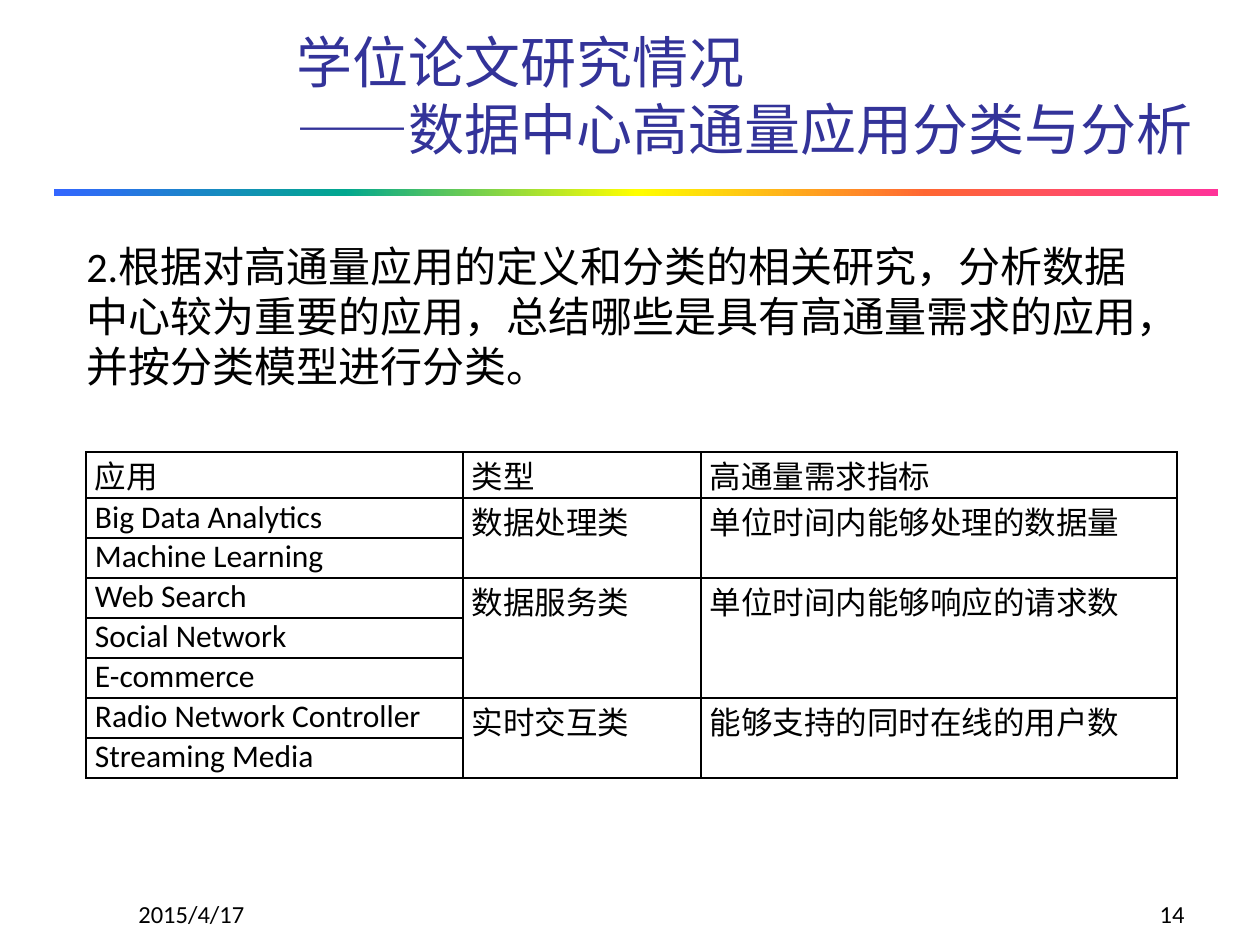
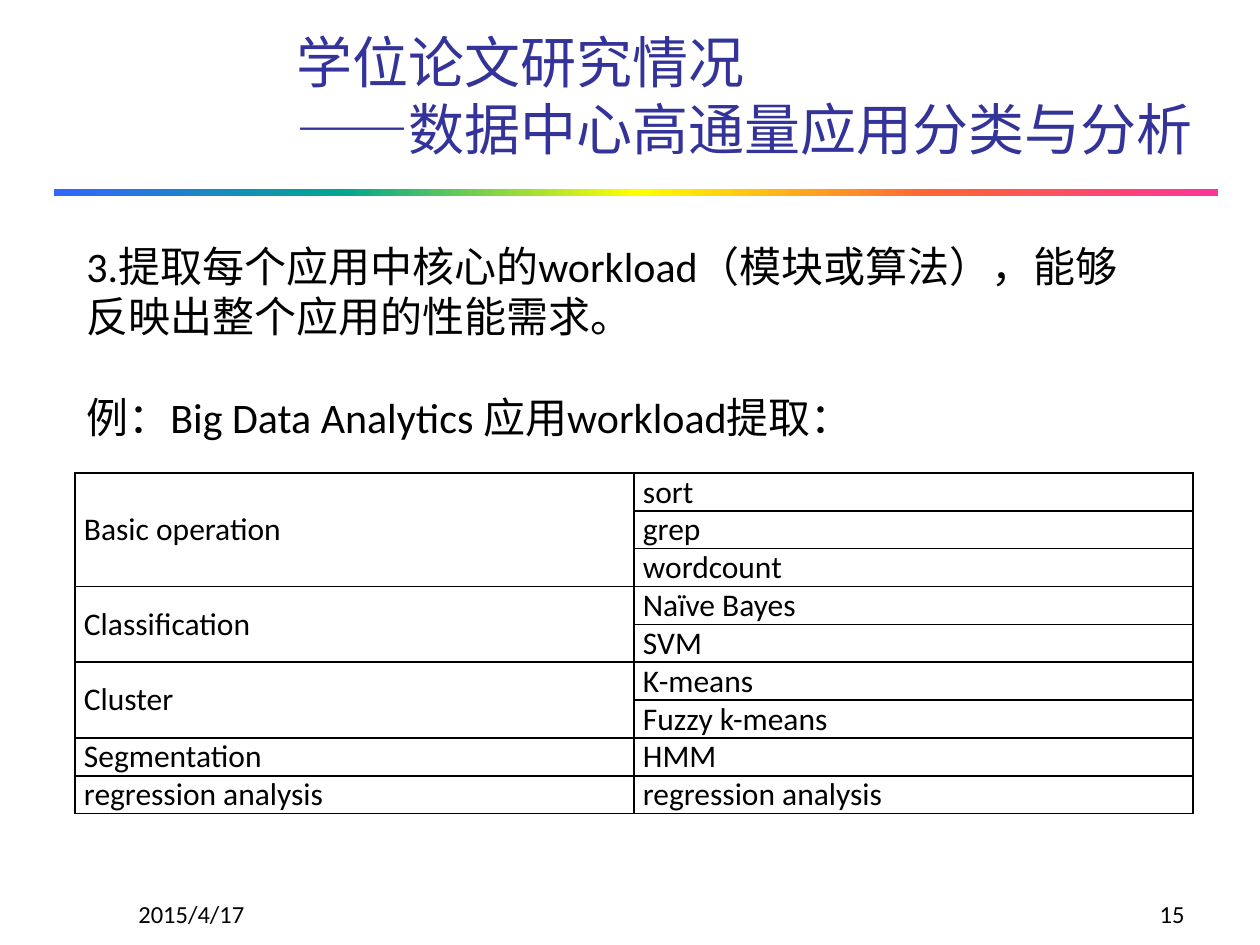
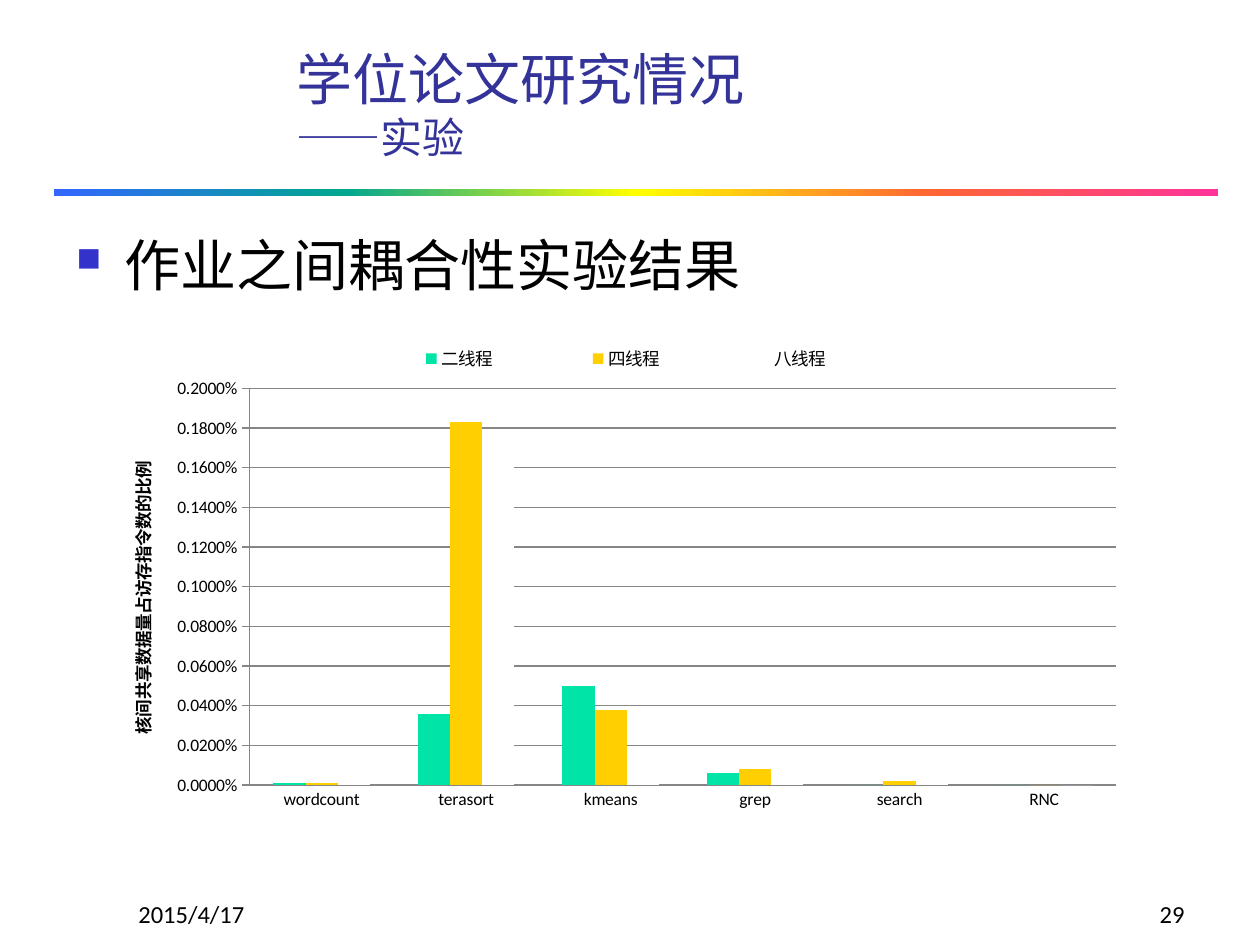
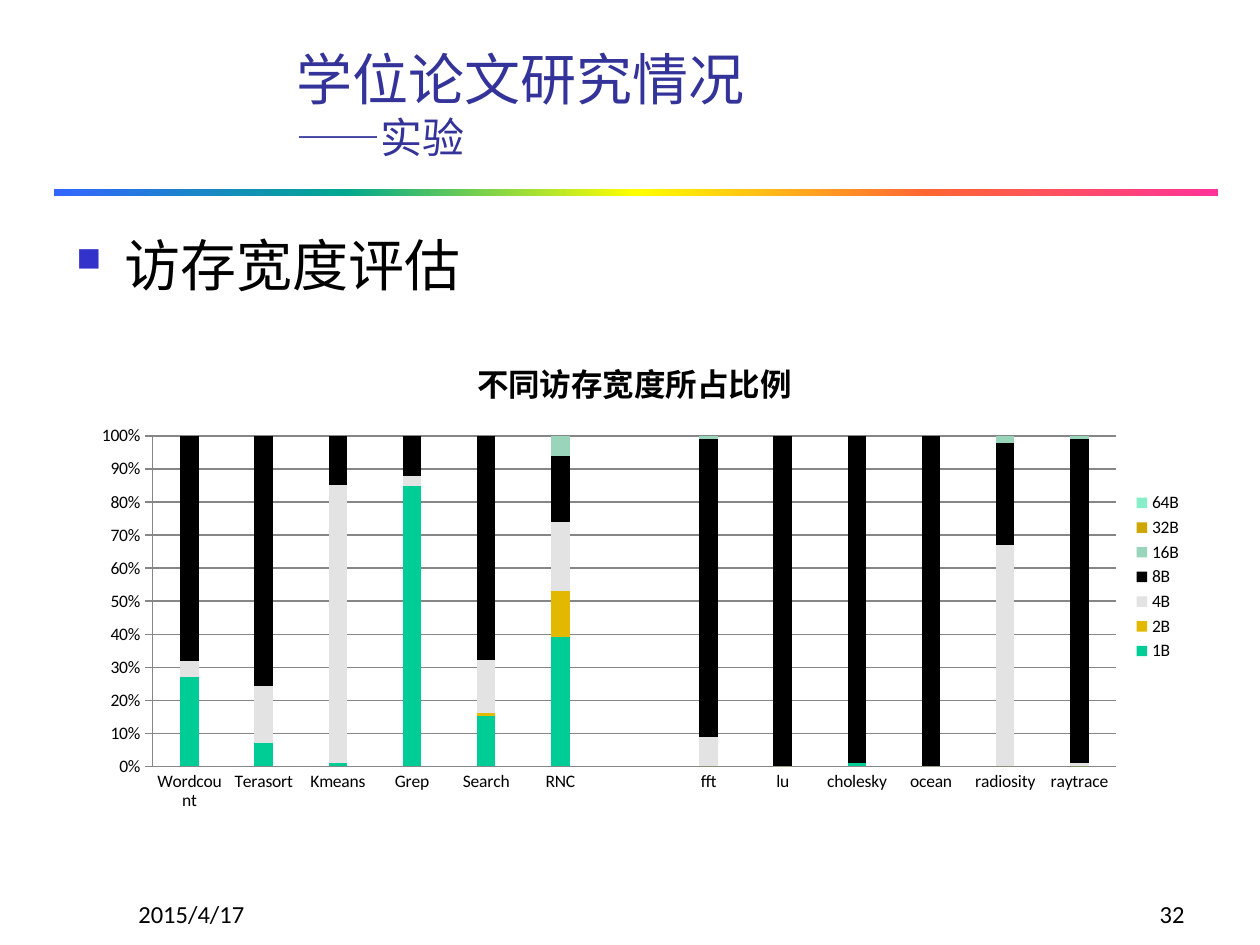
from lxml.etree import SubElement
from pptx import Presentation
from pptx.chart.data import CategoryChartData
from pptx.dml.color import RGBColor
from pptx.enum.chart import XL_CHART_TYPE as CHART, XL_LEGEND_POSITION as LEGEND, XL_TICK_MARK as TICK
from pptx.enum.shapes import MSO_SHAPE as SHAPE
from pptx.enum.text import MSO_ANCHOR as ANCHOR, MSO_AUTO_SIZE as AUTO, PP_ALIGN as ALIGN
from pptx.oxml.ns import qn
from pptx.util import Pt

FONT, BLACK, WHITE, GRID = "Calibri", "000000", "FFFFFF", "868686"
TITLE_COLOR, BULLET_COLOR = "333399", "3333CC"
RAINBOW = ["3366FF", "01A78F", "FFFF00", "FF6633", "FF3399"]

TOPIC = "学位论文研究情况"
DATE = "2015/4/17"
CLASSES_TITLE = ("——数据中心高通量应用分类与分析", 32)
TESTS_TITLE = ("——实验", 24)

SLIDES = [
    {
        "number": 14, "subtitle": CLASSES_TITLE,
        "text": ["2.根据对高通量应用的定义和分类的相关研究，分析数据中心较为重要的应用，"
                 "总结哪些是具有高通量需求的应用，并按分类模型进行分类。"],
        "text_box": (74, 234, 1101, 165),
        "table": {
            "box": (86, 452, 1091, 320), "columns": [377, 238, 476], "anchor": ANCHOR.TOP,
            "header_height": 46,
            "rows": [
                ("应用", "类型", "高通量需求指标"),
                ("Big Data Analytics", "数据处理类", "单位时间内能够处理的数据量"),
                ("Machine Learning", None, None),
                ("Web Search", "数据服务类", "单位时间内能够响应的请求数"),
                ("Social Network", None, None),
                ("E-commerce", None, None),
                ("Radio Network Controller", "实时交互类", "能够支持的同时在线的用户数"),
                ("Streaming Media", None, None),
            ],
        },
    },
    {
        "number": 15, "subtitle": CLASSES_TITLE,
        "text": ["3.提取每个应用中核心的workload（模块或算法），能够反映出整个应用的性能需求。",
                 "例：Big Data Analytics 应用workload提取："],
        "text_box": (74, 234, 1071, 217),
        "table": {
            "box": (75, 473, 1118, 340), "columns": [559, 559], "anchor": ANCHOR.MIDDLE,
            "rows": [
                ("Basic operation", "sort"),
                (None, "grep"),
                (None, "wordcount"),
                ("Classification", "Naïve Bayes"),
                (None, "SVM"),
                ("Cluster", "K-means"),
                (None, "Fuzzy k-means"),
                ("Segmentation", "HMM"),
                ("regression analysis", "regression analysis"),
            ],
        },
    },
    {
        "number": 29, "subtitle": TESTS_TITLE, "heading": "作业之间耦合性实验结果",
        "chart": {
            "type": CHART.COLUMN_CLUSTERED, "box": (105, 324, 1032, 496),
            "plot": (0.14, 0.13, 0.84, 0.8), "gap": 150, "overlap": 0,
            "axis_title": "核间共享数据量占访存指令数的比例", "axis_title_at": (0.02, 0.27),
            "legend": LEGEND.TOP, "legend_at": (0.22, 0.04, 0.57, 0.06),
            "format": "0.0000%", "maximum": 0.002, "step": 0.0002,
            "categories": ["wordcount", "terasort", "kmeans", "grep", "search", "RNC"],
            "series": [
                ("二线程", "00E4A8", [0.00001, 0.00036, 0.0005, 0.00006, 0, 0]),
                ("四线程", "FFCF01", [0.00001, 0.00183, 0.00038, 0.00008, 0.00002, 0]),
                ("八线程", "FFFFFF", [0.00014, 0.00163, 0.00019, 0.0001, 0.00007, 0]),
            ],
        },
    },
    {
        "number": 32, "subtitle": TESTS_TITLE, "heading": "访存宽度评估",
        "chart": {
            "type": CHART.COLUMN_STACKED_100, "box": (74, 334, 1121, 486),
            "plot": (0.07, 0.21, 0.86, 0.68), "gap": 300, "overlap": 100,
            "title": "不同访存宽度所占比例", "legend": LEGEND.RIGHT,
            "format": "0%", "maximum": 1, "step": 0.1,
            "categories": ["Wordcount", "Terasort", "Kmeans", "Grep", "Search", "RNC", "",
                           "fft", "lu", "cholesky", "ocean", "radiosity", "raytrace"],
            "series": [
                ("1B", "00CC96", [27, 7, 1, 85, 15, 39, None, 0, 0, 1, 0, 0, 0]),
                ("2B", "E3B900", [0, 0, 0, 0, 1, 14, None, 0, 0, 0, 0, 0, 0]),
                ("4B", "E3E3E3", [5, 17, 85, 3, 16, 21, None, 9, 0, 0, 0, 67, 1]),
                ("8B", "000000", [68, 75, 15, 12, 67, 20, None, 91, 100, 98, 100, 31, 97]),
                ("16B", "98D5BA", [0, 0, 0, 0, 0, 6, None, 1, 0, 0, 0, 2, 1]),
                ("32B", "CEA600", [0, 0, 0, 0, 0, 0, None, 0, 0, 0, 0, 0, 0]),
                ("64B", "86EEC8", [0, 0, 0, 0, 0, 0, None, 0, 0, 0, 0, 0, 0]),
            ],
        },
    },
]


def px(length):
    return round(length * 914400 / 126)


def scaled(box):
    return [px(length) for length in box]


def rgb(color):
    return RGBColor.from_string(color)


def style(font, size, color=BLACK, bold=None):
    font.name, font.size, font.bold = FONT, Pt(size), bold
    font.color.rgb = rgb(color)


def add_text(slide, box, lines, size, align=ALIGN.LEFT, anchor=ANCHOR.TOP, gap=0):
    frame = slide.shapes.add_textbox(*scaled(box)).text_frame
    frame.word_wrap, frame.vertical_anchor = True, anchor
    frame.text = "\n".join(lines)
    for index, line in enumerate(frame.paragraphs):
        line.alignment = align
        style(line.font, size)
        if index:
            line.space_before = Pt(gap)
    return frame


def add_rainbow(slide, layout):
    band = slide.shapes.add_shape(SHAPE.RECTANGLE, *scaled((54, 189, 1164, 7)))
    band.shadow.inherit = False
    band.line.fill.background()
    band.fill.gradient()
    band.fill.gradient_angle = 0
    stops = band.element.find(".//" + qn("a:gsLst"))
    for stop in list(stops):
        stops.remove(stop)
    for index, color in enumerate(RAINBOW):
        stop = SubElement(stops, qn("a:gs"), pos=str(index * 25000))
        SubElement(stop, qn("a:srgbClr"), val=color)
    layout.shapes.element.append(band.element)


def set_title(slide, subtitle):
    title = slide.shapes.title
    title.left, title.top, title.width, title.height = scaled((284, 10, 949, 158))
    frame = title.text_frame
    frame.auto_size, frame.vertical_anchor = AUTO.NONE, ANCHOR.BOTTOM
    heading = frame.paragraphs[0]
    heading.alignment = ALIGN.LEFT
    style(heading.font, 32, TITLE_COLOR)
    heading.add_run().text = TOPIC
    heading.add_line_break()
    second = heading.add_run()
    second.text, size = subtitle
    second.font.size = Pt(size)


def add_heading(slide, text):
    heading = add_text(slide, (64, 224, 1119, 79), [text], 32).paragraphs[0]
    heading.space_before = Pt(6)
    props = heading._p.get_or_add_pPr()
    props.set("marL", str(px(48)))
    props.set("indent", str(px(-48)))
    bullet = [SubElement(props, qn("a:buClr")),
              SubElement(props, qn("a:buSzPct"), val="60000"),
              SubElement(props, qn("a:buChar"), char="■")]
    SubElement(bullet[0], qn("a:srgbClr"), val=BULLET_COLOR)
    for offset, part in enumerate(bullet):
        props.insert(1 + offset, part)


def add_borders(cell):
    props = cell._tc.get_or_add_tcPr()
    for index, side in enumerate(("lnL", "lnR", "lnT", "lnB")):
        line = SubElement(props, qn("a:" + side), w=str(Pt(1)))
        SubElement(SubElement(line, qn("a:solidFill")), qn("a:srgbClr"), val=BLACK)
        props.insert(index, line)


def add_grid(slide, content):
    rows, columns = content["rows"], content["columns"]
    table = slide.shapes.add_table(len(rows), len(columns), *scaled(content["box"])).table
    table.first_row = table.horz_banding = False
    if "header_height" in content:
        table.rows[0].height = px(content["header_height"])
    for column, width in zip(table.columns, columns):
        column.width = px(width)
    for c in range(len(columns)):
        start = 0
        for r, row in enumerate(rows):
            cell = table.cell(r, c)
            cell.fill.solid()
            cell.fill.fore_color.rgb = rgb(WHITE)
            cell.vertical_anchor = content["anchor"]
            cell.margin_left = cell.margin_right = px(9)
            cell.margin_top = cell.margin_bottom = 0
            add_borders(cell)
            words = cell.text_frame.paragraphs[0]
            words.alignment = ALIGN.JUSTIFY
            style(words.font, 18)
            if row[c] is not None:
                words.text = row[c]
                start = r
            if start < r and (r + 1 == len(rows) or rows[r + 1][c] is not None):
                table.cell(start, c).merge(cell)


def set_layout(owner, index, fractions, inner=False):
    for old in owner.findall(qn("c:layout")):
        owner.remove(old)
    layout = SubElement(owner, qn("c:layout"))
    owner.insert(index, layout)
    manual = SubElement(layout, qn("c:manualLayout"))
    if inner:
        SubElement(manual, qn("c:layoutTarget"), val="inner")
    for mode in ("xMode", "yMode"):
        SubElement(manual, qn("c:" + mode), val="edge")
    for key, value in zip("xywh", fractions):
        SubElement(manual, qn("c:" + key), val=str(value))


def set_chart_title(owner, text, size):
    owner.has_title = True
    title = owner.chart_title if hasattr(owner, "chart_title") else owner.axis_title
    words = title.text_frame.paragraphs[0]
    words.text = text
    style(words.font, size, bold=True)
    return title


def add_columns(slide, content):
    data = CategoryChartData(number_format="General")
    data.categories = content["categories"]
    for name, _, values in content["series"]:
        data.add_series(name, values)
    chart = slide.shapes.add_chart(content["type"], *scaled(content["box"]), data).chart
    style(chart.font, 10)
    chart.has_title = False
    if "title" in content:
        set_chart_title(chart, content["title"], 18).include_in_layout = False

    plot = chart.plots[0]
    plot.gap_width, plot.overlap, plot.vary_by_categories = content["gap"], content["overlap"], False
    for series, (_, color, _) in zip(plot.series, content["series"]):
        series.invert_if_negative = False
        series.format.fill.solid()
        series.format.fill.fore_color.rgb = rgb(color)
    set_layout(chart.element.find(".//" + qn("c:plotArea")), 0, content["plot"], True)

    names, scale = chart.category_axis, chart.value_axis
    names.major_tick_mark, scale.major_tick_mark = TICK.NONE, TICK.OUTSIDE
    names.minor_tick_mark = scale.minor_tick_mark = TICK.NONE
    scale.has_major_gridlines = True
    for line in (names.format.line, scale.format.line, scale.major_gridlines.format.line):
        line.color.rgb, line.width = rgb(GRID), Pt(0.75)
    scale.minimum_scale, scale.maximum_scale = 0, content["maximum"]
    scale.major_unit = content["step"]
    scale.tick_labels.number_format = content["format"]
    scale.tick_labels.number_format_is_linked = False
    if "axis_title" in content:
        label = set_chart_title(scale, content["axis_title"], 10)
        label.text_frame._txBody.bodyPr.set("rot", "-5400000")
        label.text_frame._txBody.bodyPr.set("vert", "horz")
        set_layout(label._element, 1, content["axis_title_at"])

    chart.has_legend = True
    chart.legend.position, chart.legend.include_in_layout = content["legend"], False
    if "legend_at" in content:
        set_layout(chart.legend._element, 1, content["legend_at"])


def main():
    deck = Presentation()
    deck.slide_width, deck.slide_height = scaled((1260, 945))
    layout = deck.slide_layouts[5]
    for index, content in enumerate(SLIDES):
        slide = deck.slides.add_slide(layout)
        if index == 0:
            add_rainbow(slide, layout)
        set_title(slide, content["subtitle"])
        add_text(slide, (126, 872, 262, 63), [DATE], 14, anchor=ANCHOR.BOTTOM)
        add_text(slide, (935, 872, 262, 63), [str(content["number"])], 14, ALIGN.RIGHT, ANCHOR.BOTTOM)
        if "text" in content:
            add_text(slide, content["text_box"], content["text"], 24, gap=29)
            add_grid(slide, content["table"])
        else:
            add_heading(slide, content["heading"])
            add_columns(slide, content["chart"])
    deck.save("out.pptx")


if __name__ == "__main__":
    main()
